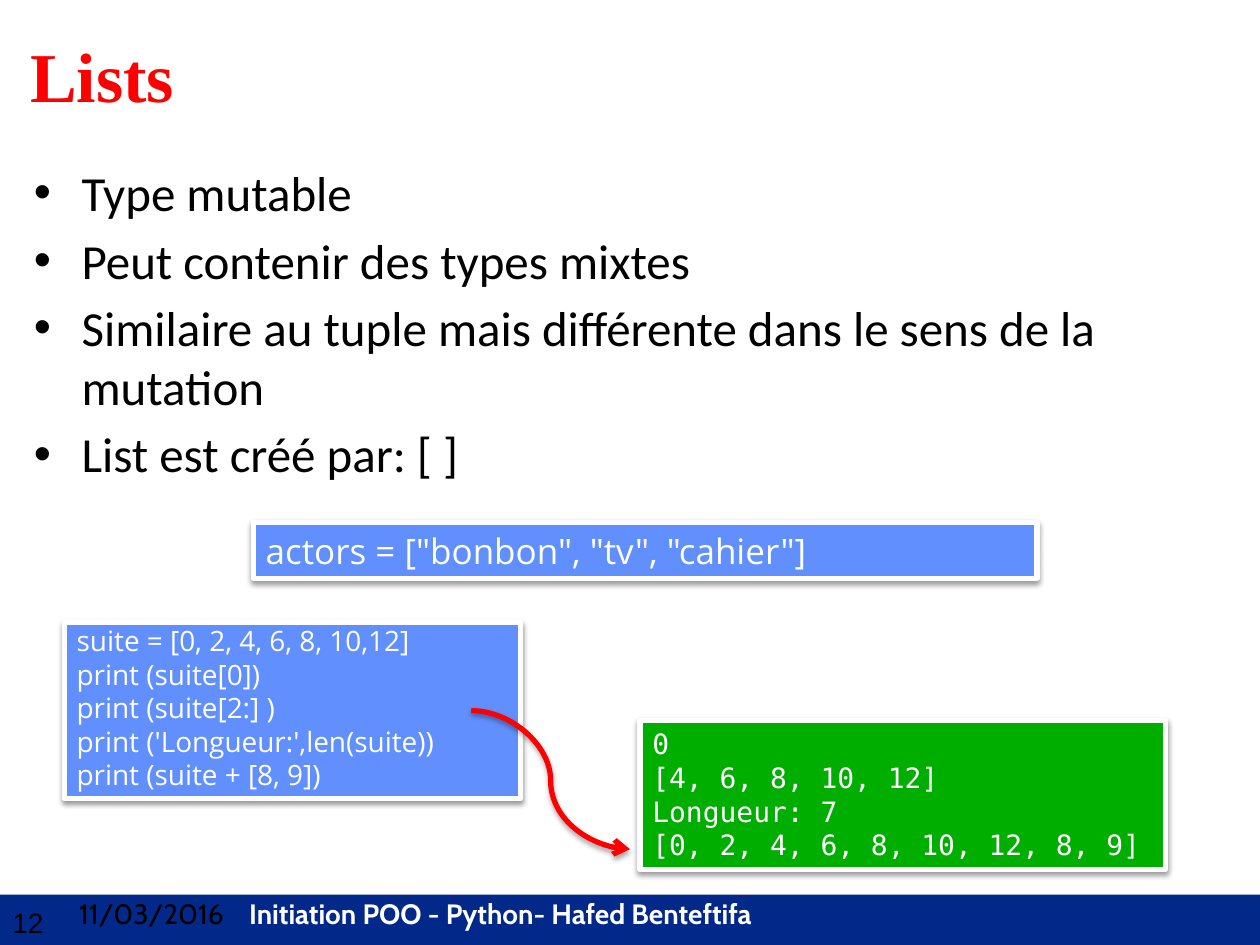
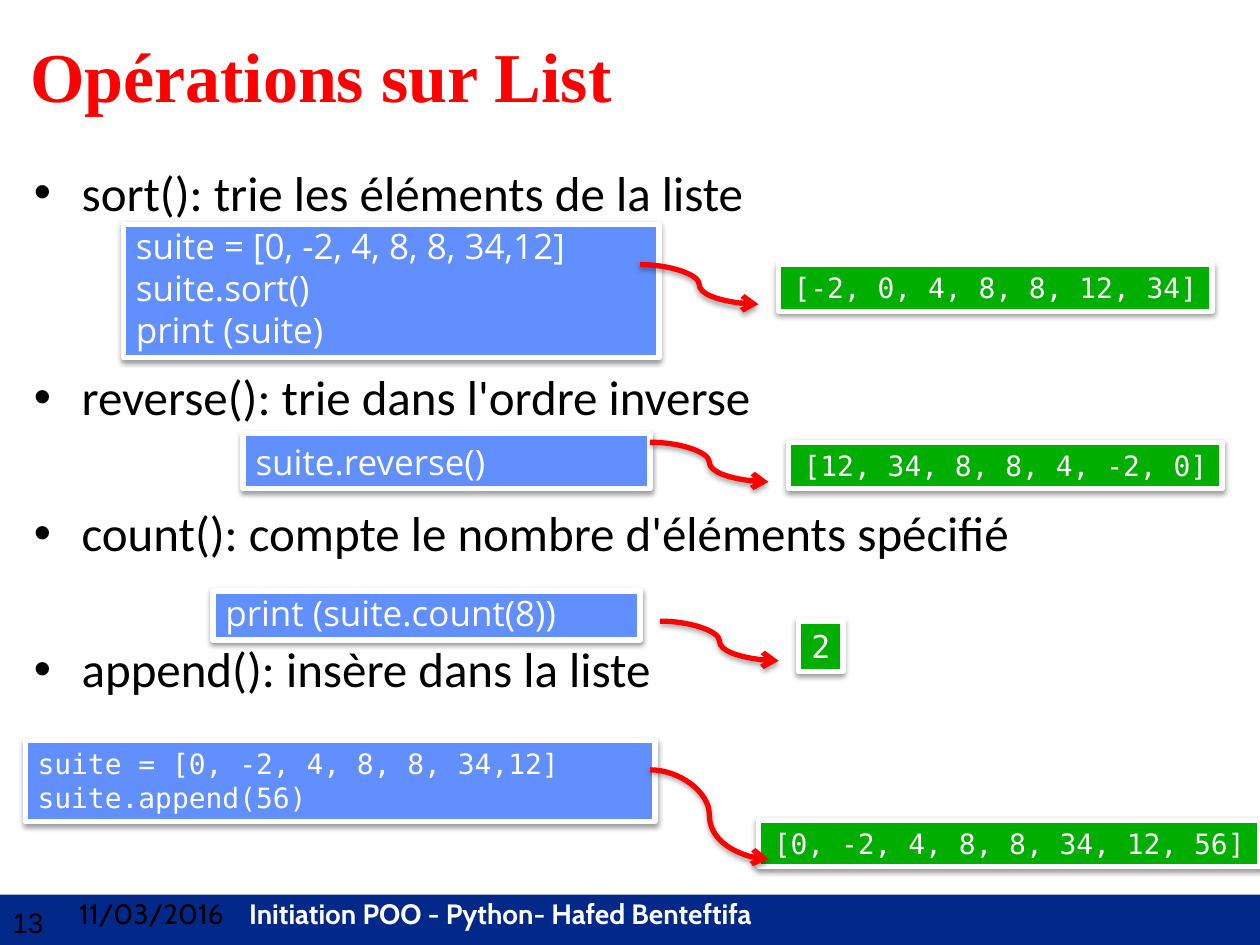
from lxml.etree import SubElement
from pptx import Presentation
from pptx.dml.color import RGBColor
from pptx.enum.shapes import MSO_CONNECTOR, MSO_SHAPE
from pptx.enum.text import MSO_ANCHOR, MSO_AUTO_SIZE, PP_ALIGN
from pptx.oxml.ns import qn
from pptx.util import Inches, Pt

NAVY = RGBColor(0x02, 0x29, 0x8A)
BLUE = RGBColor(0x61, 0x8F, 0xFD)
GREEN = RGBColor(0x00, 0xAE, 0x00)
RED = RGBColor(0xFF, 0x00, 0x00)
BLACK = RGBColor(0x00, 0x00, 0x00)
WHITE = RGBColor(0xFF, 0xFF, 0xFF)

SERIF, BODY, FOOTER = "Times New Roman", "Calibri", "Cabin"
SANS, MONO = "Open Sans", "DejaVu Sans Mono"

COLUMNS, ROWS = 100, 75
BULLET_GAP = 5       # points above each bullet
BULLET_PITCH = 39.1  # points from one bullet line to the next
DATE = "11/03/2016"
COURSE = "Initiation POO - Python- Hafed Benteftifa"


class Deck:
    """Holds the presentation, its grid and the slide being built."""

    def __init__(self):
        """Start an empty 4:3 presentation."""
        self.presentation = Presentation()
        self.presentation.slide_width = Inches(10)
        self.presentation.slide_height = Inches(7.5)
        self.slide = None

    def grid(self, *places):
        """Turn alternating columns and rows into slide lengths."""
        units = (self.presentation.slide_width / COLUMNS,
                 self.presentation.slide_height / ROWS)
        return [round(place * units[index % 2])
                for index, place in enumerate(places)]

    def add_run(self, paragraph, text, font, size, color, bold=False):
        """Add one styled run to a paragraph."""
        run = paragraph.add_run()
        run.text = text
        run.font.name = font
        run.font.size = Pt(size)
        run.font.color.rgb = color
        run.font.bold = bold

    def add_lines(self, frame, lines, font, size, color, bold=False):
        """Fill a text frame with one paragraph per line."""
        for index, line in enumerate(lines):
            paragraph = frame.add_paragraph() if index else frame.paragraphs[0]
            self.add_run(paragraph, line, font, size, color, bold)
        return frame.paragraphs

    def text_box(self, place):
        """Add a wrapping text box and return its frame."""
        frame = self.slide.shapes.add_textbox(*self.grid(*place)).text_frame
        frame.word_wrap = True
        return frame

    def rectangle(self, place, color):
        """Add a plain filled rectangle."""
        shape = self.slide.shapes.add_shape(
            MSO_SHAPE.RECTANGLE, *self.grid(*place))
        shape.shadow.inherit = False
        shape.fill.solid()
        shape.fill.fore_color.rgb = color
        shape.line.fill.background()
        return shape

    def drop_shadow(self, shape, opacity, distance):
        """Cast a soft black shadow straight down."""
        properties = shape._element.spPr
        effects = properties.find(qn("a:effectLst"))
        if effects is None:
            effects = SubElement(properties, qn("a:effectLst"))
        shadow = SubElement(effects, qn("a:outerShdw"), {
            "blurRad": str(Pt(3.1)), "dist": str(Pt(distance)),
            "dir": "5400000", "rotWithShape": "0"})
        color = SubElement(shadow, qn("a:srgbClr"), val=str(BLACK))
        SubElement(color, qn("a:alpha"), val=str(opacity * 1000))

    def new_slide(self, title, number):
        """Add a slide with its title and footer band."""
        layout = self.presentation.slide_layouts[6]
        self.slide = self.presentation.slides.add_slide(layout)
        self.rectangle((0, 71, 100, 4), NAVY)
        self.add_lines(self.text_box((0, 71.4, 5.8, 6.3)), [str(number)],
                       "Arial", 16, BLACK)

        paragraph = self.text_box((5.3, 70.7, 94.7, 6.4)).paragraphs[0]
        tabs = SubElement(paragraph._p.get_or_add_pPr(), qn("a:tabLst"))
        SubElement(tabs, qn("a:tab"), pos=str(Inches(1.35)), algn="l")
        self.add_run(paragraph, DATE + "\t", FOOTER, 16, BLACK)
        self.add_run(paragraph, COURSE, FOOTER, 16, WHITE, bold=True)

        frame = self.text_box((1.4, 1.7, 96.8, 9.3))
        frame.vertical_anchor = MSO_ANCHOR.MIDDLE
        paragraphs = self.add_lines(frame, [title], SERIF, 40, RED, bold=True)
        paragraphs[0].line_spacing = 0.9

    def bullets(self, height, items):
        """Add bullets given as (text, free lines left above it)."""
        frame = self.text_box((1.7, 12.4, 96.7, height))
        texts = [text for text, _ in items]
        paragraphs = self.add_lines(frame, texts, BODY, 28, BLACK)
        for paragraph, (_, free_lines) in zip(paragraphs, items):
            paragraph.space_before = Pt(BULLET_GAP + free_lines * BULLET_PITCH)
            properties = paragraph._p.get_or_add_pPr()
            properties.set("marL", str(Inches(0.38)))
            properties.set("indent", str(-Inches(0.38)))
            SubElement(properties, qn("a:buFont"), typeface="Arial")
            SubElement(properties, qn("a:buChar"), char="•")

    def panel(self, place, color, lines, font, size):
        """Add a white-framed panel with a shadow and left-aligned text."""
        shape = self.rectangle(place, color)
        shape.line.color.rgb = WHITE
        shape.line.width = Pt(3)
        self.drop_shadow(shape, 38, 1.6)
        frame = shape.text_frame
        frame.word_wrap = True
        frame.auto_size = MSO_AUTO_SIZE.SHAPE_TO_FIT_TEXT
        frame.vertical_anchor = MSO_ANCHOR.TOP
        for paragraph in self.add_lines(frame, lines, font, size, WHITE):
            paragraph.alignment = PP_ALIGN.LEFT
        return frame

    def code(self, place, lines, size=20, tight=False):
        """Add a blue code panel, tight when it has no top margin."""
        frame = self.panel(place, BLUE, lines, SANS, size)
        frame.vertical_anchor = MSO_ANCHOR.MIDDLE
        if tight:
            frame.margin_top = 0

    def result(self, place, text, size=16):
        """Add a green one-line result panel."""
        frame = self.panel(place, GREEN, [text], MONO, size)
        frame.word_wrap = False
        frame.paragraphs[0].alignment = PP_ALIGN.CENTER

    def arrow(self, left, top, width, height):
        """Add a curved red arrow from code to result."""
        ends = self.grid(left, top, left + width, top + height)
        connector = self.slide.shapes.add_connector(MSO_CONNECTOR.CURVE, *ends)
        connector.line.color.rgb = RED
        connector.line.width = Pt(3)
        SubElement(connector.line._get_or_add_ln(), qn("a:tailEnd"),
                   type="arrow")
        self.drop_shadow(connector, 35, 1.8)


def build_lists(deck):
    """Build the slide that introduces lists."""
    deck.new_slide("Lists", 12)
    deck.bullets(29.8, [
        ("Type mutable", 0),
        ("Peut contenir des types mixtes", 0),
        ("Similaire au tuple mais différente dans le sens de la mutation", 0),
        ("List est créé par: [ ]", 0)])
    deck.code((20.1, 41.5, 62.2, 4.4), ['actors = ["bonbon", "tv", "cahier"]'])
    deck.code((5.1, 49.4, 36.2, 14), [
        "suite = [0, 2, 4, 6, 8, 10,12]",
        "print (suite[0])",
        "print (suite[2:] )",
        "print ('Longueur:',len(suite))",
        "print (suite + [8, 9])"], size=16, tight=True)
    deck.panel((50.8, 57.2, 41.7, 11.8), GREEN, [
        "0", "[4, 6, 8, 10, 12]", "Longueur: 7",
        "[0, 2, 4, 6, 8, 10, 12, 8, 9]"], MONO, 16)
    deck.arrow(37.4, 56.4, 12.6, 11)


def build_operations(deck):
    """Build the slide of list operations and their results."""
    deck.new_slide("Opérations sur List", 13)
    deck.bullets(8.6, [
        ("sort(): trie les éléments de la liste", 0),
        ("reverse(): trie dans l'ordre inverse", 2),
        ("count(): compte le nombre d'éléments spécifié", 1),
        ("append(): insère dans la liste", 1)])
    deck.code((9.8, 17.8, 42.5, 10.6), [
        "suite = [0, -2, 4, 8, 8, 34,12]", "suite.sort()", "print (suite)"],
        tight=True)
    deck.code((19.3, 34.4, 32.3, 4.4), ["suite.reverse()"])
    deck.code((16.9, 46.9, 33.9, 3.9), ["print (suite.count(8))"], tight=True)
    deck.panel((2, 58.8, 50, 6.4), BLUE, [
        "suite = [0, -2, 4, 8, 8, 34,12]", "suite.append(56)"], MONO, 16)

    # Each arrow starts level with the top of its result.
    for left, top, width, height, text, size in (
            (61.8, 21, 34.4, 3.7, "[-2, 0, 4, 8, 8, 12, 34]", 16),
            (62.6, 35.1, 34.4, 3.7, "[12, 34, 8, 8, 4, -2, 0]", 16),
            (63.4, 49.3, 3.5, 4, "2", 18)):
        deck.result((left, top, width, height), text, size)
        deck.arrow(left - 11, top, 9.4, 3.15)
    deck.result((60.2, 65.1, 39.8, 3.7), "[0, -2, 4, 8, 8, 34, 12, 56]")
    deck.arrow(51.6, 61.1, 9.4, 7.1)


def main():
    """Build both slides and save them."""
    deck = Deck()
    build_lists(deck)
    build_operations(deck)
    deck.presentation.save("out.pptx")


main()
